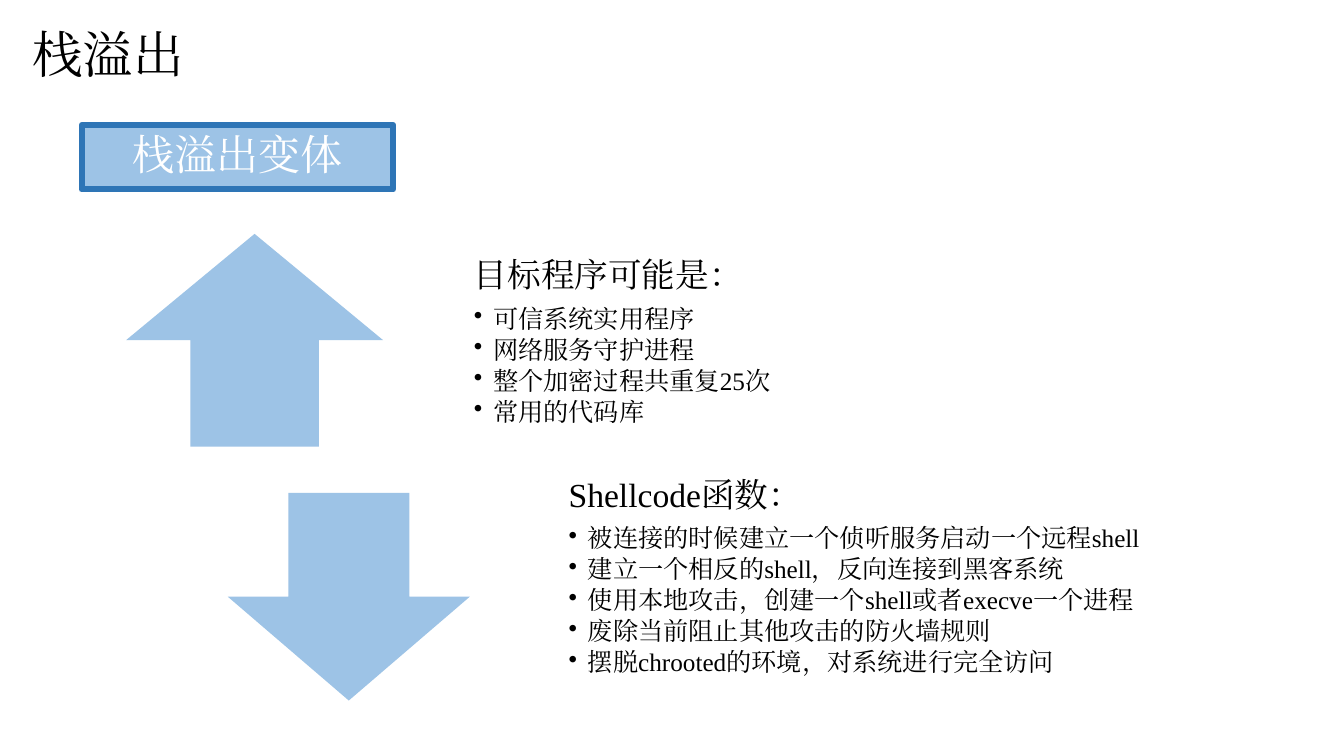
from lxml.etree import SubElement
from pptx import Presentation
from pptx.dml.color import RGBColor
from pptx.enum.shapes import MSO_SHAPE
from pptx.enum.text import MSO_ANCHOR, PP_ALIGN
from pptx.oxml.ns import qn
from pptx.util import Inches, Pt

BLACK = RGBColor(0x00, 0x00, 0x00)
WHITE = RGBColor(0xFF, 0xFF, 0xFF)
PALE = RGBColor(0x9D, 0xC3, 0xE6)
BLUE = RGBColor(0x2E, 0x75, 0xB6)

TARGETS = ["可信系统实用程序", "网络服务守护进程", "整个加密过程共重复25次", "常用的代码库"]
SHELLS = [
    "被连接的时候建立一个侦听服务启动一个远程shell",
    "建立一个相反的shell，反向连接到黑客系统",
    "使用本地攻击，创建一个shell或者execve一个进程",
    "废除当前阻止其他攻击的防火墙规则",
    "摆脱chrooted的环境，对系统进行完全访问",
]


class Deck:
    font = "Times New Roman"

    def __init__(self):
        self.prs = Presentation()
        self.prs.slide_width = Inches(13.33)
        self.prs.slide_height = Inches(7.5)
        self.slide = self.prs.slides.add_slide(self.prs.slide_layouts[5])

    def frame(self, shape, *pads):
        """Wrap and centre text vertically, with left, top, right, bottom insets."""
        frame = shape.text_frame
        frame.word_wrap = True
        frame.vertical_anchor = MSO_ANCHOR.MIDDLE
        (frame.margin_left, frame.margin_top,
         frame.margin_right, frame.margin_bottom) = map(Inches, pads)
        return frame

    def style(self, para, size, color=BLACK, align=PP_ALIGN.LEFT):
        para.alignment = align
        for run in para.runs:
            run.font.size = Pt(size)
            run.font.color.rgb = color
            run.font.name = self.font
            SubElement(run.font._element, qn("a:ea"), typeface=self.font)

    def space(self, para, after):
        para.line_spacing = 0.9
        para.space_before = Pt(0)
        para.space_after = Pt(after)

    def title(self, text, *box):
        shape = self.slide.shapes.title
        shape.left, shape.top, shape.width, shape.height = map(Inches, box)
        frame = self.frame(shape, 0.11, 0.06, 0.11, 0.06)
        frame.text = text
        self.style(frame.paragraphs[0], 36)

    def shape(self, kind, *box):
        shape = self.slide.shapes.add_shape(kind, *map(Inches, box))
        shape.shadow.inherit = False
        shape.fill.solid()
        shape.fill.fore_color.rgb = PALE
        shape.line.fill.background()
        return shape

    def label(self, text, *box):
        shape = self.shape(MSO_SHAPE.RECTANGLE, *box)
        shape.line.color.rgb = BLUE
        shape.line.width = Pt(4.33)
        SubElement(shape.line._get_or_add_ln(), qn("a:round"))
        frame = self.frame(shape, 0.47, 0, 0.47, 0)
        frame.text = text
        self.style(frame.paragraphs[0], 30, WHITE, PP_ALIGN.CENTER)
        self.space(frame.paragraphs[0], 10.5)

    def points(self, head, items, left, top):
        box = self.slide.shapes.add_textbox(*map(Inches, (left, top, 7.1, 2.35)))
        frame = self.frame(box, 0.19, 0, 0.19, 0.19)
        frame.text = head
        self.style(frame.paragraphs[0], 24)
        self.space(frame.paragraphs[0], 8.4)
        for item in items:
            para = frame.add_paragraph()
            para.text = item
            para.level = 1
            props = para._p.get_or_add_pPr()
            props.set("marL", str(Inches(0.19)))
            props.set("indent", str(Inches(-0.19)))
            SubElement(props, qn("a:buChar"), char="•")
            self.style(para, 18)
            self.space(para, 2.7)


def main():
    deck = Deck()
    deck.title("栈溢出", 0.21, 0, 5.91, 1.06)
    deck.label("栈溢出变体", 0.81, 1.24, 3.09, 0.64)
    deck.shape(MSO_SHAPE.UP_ARROW, 1.25, 2.32, 2.55, 2.11)
    deck.points("目标程序可能是：", TARGETS, 4.51, 2.32)
    deck.shape(MSO_SHAPE.DOWN_ARROW, 2.26, 4.89, 2.4, 2.06)
    deck.points("Shellcode函数：", SHELLS, 5.45, 4.65)
    deck.prs.save("out.pptx")


if __name__ == "__main__":
    main()
